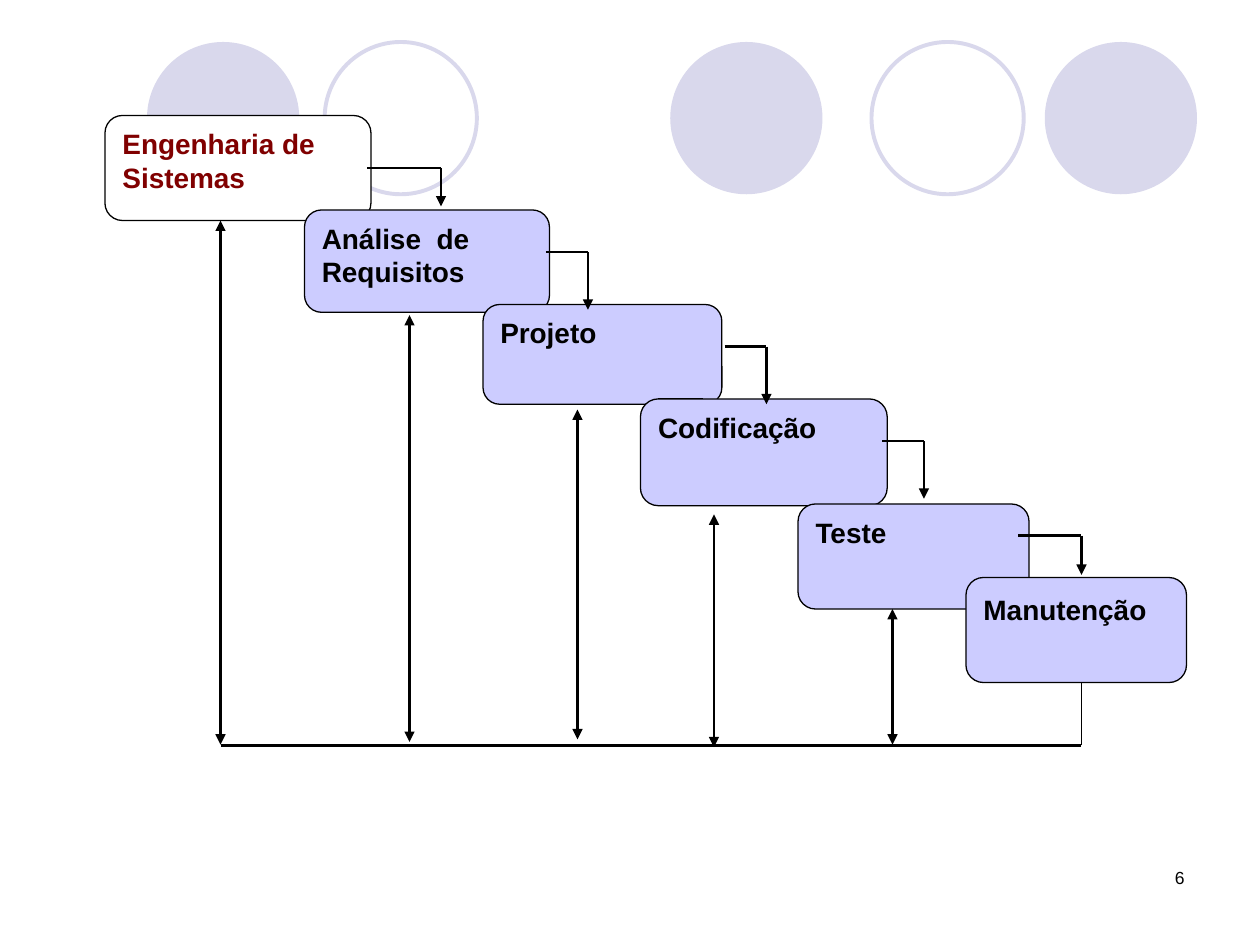
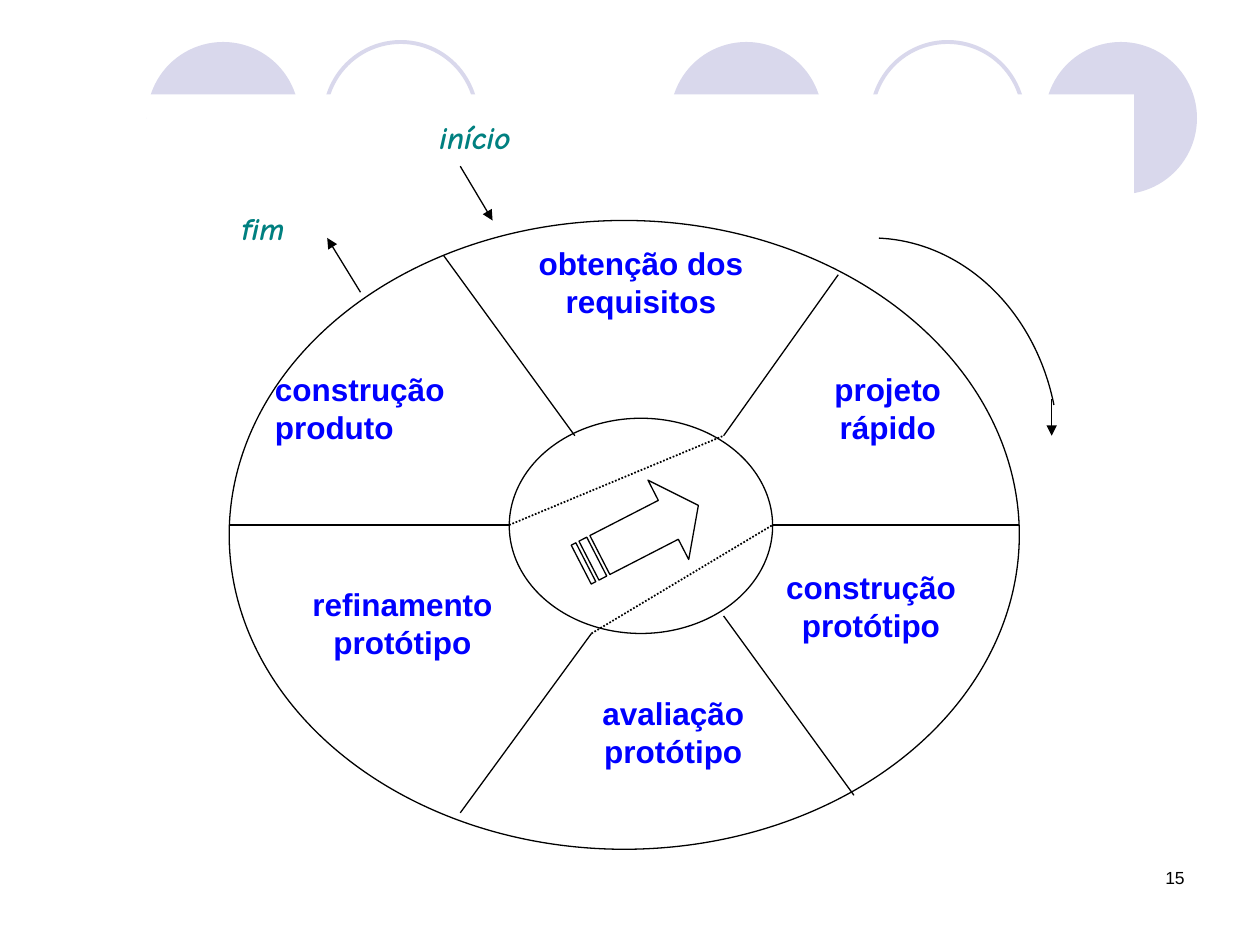
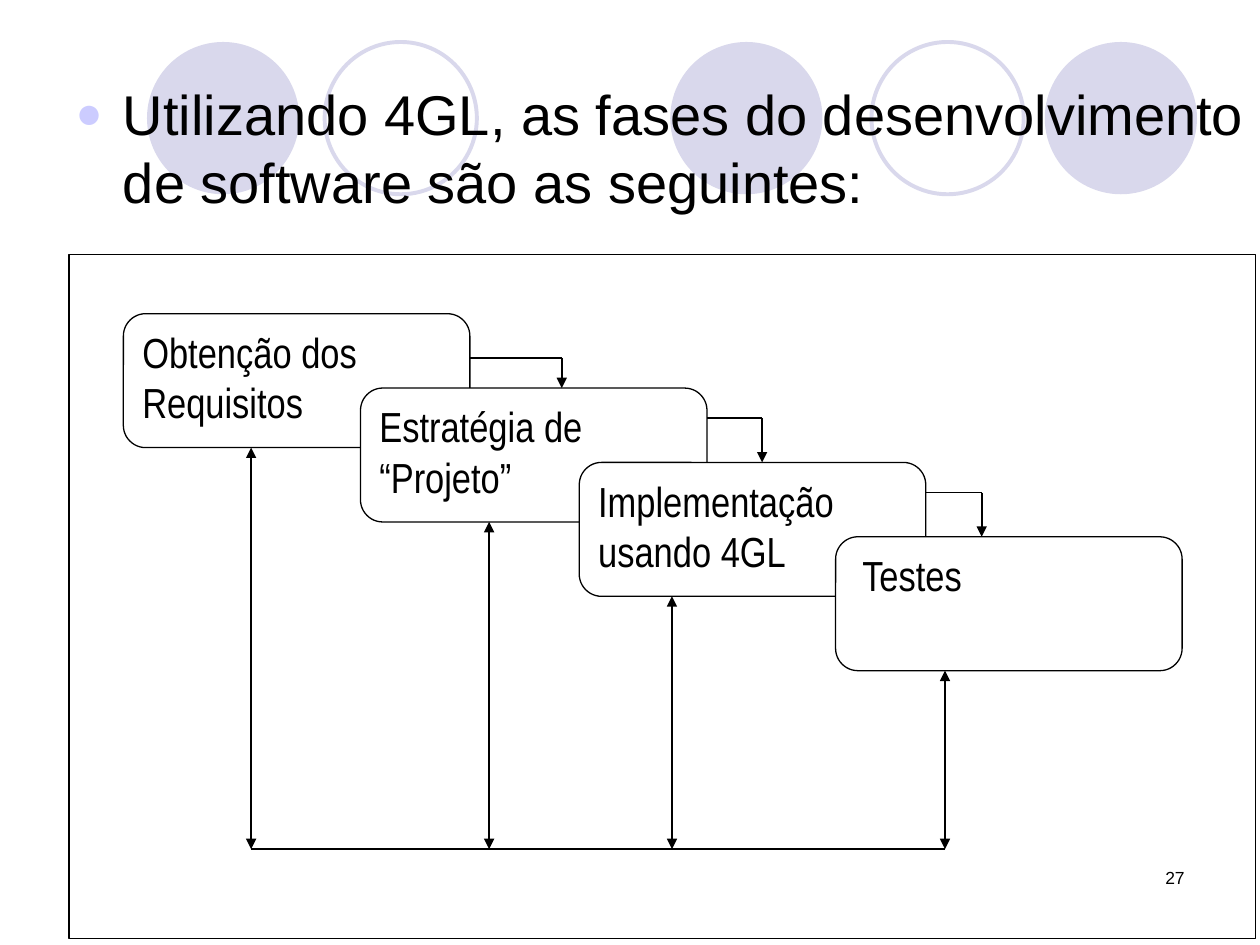
import pptx
import pptx.dml.color
import pptx.enum.dml
import pptx.enum.shapes
import pptx.enum.text
import pptx.oxml
import pptx.oxml.ns
import pptx.util
import lxml.etree

Pt = pptx.util.Pt
Color = pptx.dml.color.RGBColor
Kind = pptx.enum.shapes.MSO_SHAPE
Align = pptx.enum.text.PP_ALIGN
qn = pptx.oxml.ns.qn

WHITE = Color(0xFF, 0xFF, 0xFF)
BLACK = Color(0x00, 0x00, 0x00)
PALE = Color(0xD9, 0xD8, 0xEC)
LILAC = Color(0xCC, 0xCC, 0xFF)
MAROON = Color(0x80, 0x00, 0x00)
TEAL = Color(0x00, 0x80, 0x80)
BLUE = Color(0x00, 0x00, 0xFF)


def box(slide, kind, place, fill=None, line=None, width=0.75, text="",
        face="Arial", size=16, color=BLACK, bold=True, align=Align.LEFT):
    shape = slide.shapes.add_shape(kind, *[Pt(v) for v in place])
    shape.shadow.inherit = False
    if fill is None:
        shape.fill.background()
    else:
        shape.fill.solid()
        shape.fill.fore_color.rgb = fill
    if line is None:
        shape.line.fill.background()
    else:
        shape.line.color.rgb = line
        shape.line.width = Pt(width)
    if text:
        frame = shape.text_frame
        frame.text = text
        frame.word_wrap = True
        frame.vertical_anchor = pptx.enum.text.MSO_ANCHOR.TOP
        para = frame.paragraphs[0]
        para.alignment = align
        font = para.runs[0].font
        font.name, font.size, font.bold = face, Pt(size), bold
        font.color.rgb = color
    return shape


def link(slide, ends, width, heads=(), dash=None):
    line = slide.shapes.add_connector(
        pptx.enum.shapes.MSO_CONNECTOR.STRAIGHT, *[Pt(v) for v in ends])
    line.line.color.rgb = BLACK
    line.line.width = Pt(width)
    if dash:
        line.line.dash_style = dash
    for head in heads:
        lxml.etree.SubElement(line.get_or_add_ln(), qn("a:" + head), type="triangle")
    lxml.etree.SubElement(line.element.spPr, qn("a:effectLst"))


TIP = ("tailEnd",)
BOTH = ("headEnd", "tailEnd")

deck = pptx.Presentation()
deck.slide_width, deck.slide_height = Pt(720), Pt(540)
fall, wheel, quick = [deck.slides.add_slide(deck.slide_layouts[n]) for n in (6, 6, 1)]

rings = [(383, True), (597, True), (84, True), (498, False), (185.5, False)]
for count, (left, full) in enumerate(rings):
    ring = box(fall, Kind.OVAL, (left, 24, 87, 87),
               PALE if full else None, None if full else PALE, 2.25)
    ring.element.nvSpPr.cNvPr.id = 101 + count
    deck.slide_master.shapes.element.append(ring.element)

stages = [
    ("Engenharia de Sistemas", (60, 66, 152, 60)),
    ("Análise  de Requisitos", (174, 120, 140, 58.5)),
    ("Projeto", (276, 174, 136.5, 57)),
    ("Codificação", (366, 228, 141, 61)),
    ("Teste", (456, 288, 132, 60)),
    ("Manutenção", (552, 330, 126, 60)),
]
for text, place in stages:
    first = text == stages[0][0]
    stage = box(fall, Kind.ROUNDED_RECTANGLE, place, WHITE if first else LILAC,
                BLACK, text=text, color=MAROON if first else BLACK)
stage.text_frame.margin_top = Pt(5.6)

steps = [(210, 96, 252, 118), (312, 144, 336, 177), (414, 198, 438, 231),
         (504, 252, 528, 285), (582, 306, 618, 328.5)]
for left, top, right, tip in steps:
    link(fall, (left, top, right, top), 1.5)
    link(fall, (right, top, right, tip), 1.5, TIP)
link(fall, (126, 426, 618, 426), 1.5)
for x, top, low in [(126, 126, 425.5), (234, 180, 424), (330, 234, 422.5),
                    (408, 294, 427), (510, 348, 425.5)]:
    link(fall, (x, top, x, low), 1.5, BOTH)
link(fall, (618, 426, 618, 390), 0.75)

box(wheel, Kind.RECTANGLE, (84, 54, 564, 462), WHITE)
for text, place in [("fim", (131, 116, 104, 51)), ("início", (244, 64, 104, 51))]:
    label = box(wheel, Kind.RECTANGLE, place, WHITE, text=text,
                face="Comic Neue", size=18, color=TEAL)
    label.text_frame.paragraphs[0].runs[0].font.italic = True
parts = [
    ("construção produto", (150, 208, 169, 82), Align.LEFT),
    ("refinamento protótipo", (150, 331, 160, 82), Align.CENTER),
    ("avaliação protótipo", (309.5, 393, 150.5, 82), Align.CENTER),
    ("construção protótipo", (422.5, 321, 150.5, 82), Align.CENTER),
    ("projeto rápido", (441.5, 208, 131.5, 82), Align.CENTER),
    ("obtenção dos requisitos", (291, 136, 150.5, 103), Align.CENTER),
]
for text, place, align in parts:
    box(wheel, Kind.RECTANGLE, place, WHITE, text=text, size=18, color=BLUE, align=align)
box(wheel, Kind.OVAL, (131, 126, 451.5, 359.3), None, BLACK)
box(wheel, Kind.OVAL, (291, 239, 150.5, 123), WHITE, BLACK)
for ends in [(253.5, 146, 328.5, 249), (479, 157, 413.5, 249), (441.5, 300, 582.5, 300),
             (413.5, 352, 488, 454.5), (338, 362, 263, 464.5), (291, 300, 131, 300)]:
    link(wheel, ends, 0.75)

LEFT, TOP = 328.3, 280
bars = [[(a, 12.75), (b, 12.75), (b, 38.25), (a, 38.25)]
        for a, b in [(0, 2.3), (4.7, 9.4)]]
shaft = [(11.7, 12.75), (55.5, 12.75), (55.5, 0), (75, 25.5),
         (55.5, 51), (55.5, 38.25), (11.7, 38.25)]
path = None
for points in [shaft] + bars:
    spots = [(LEFT + x, TOP + y) for x, y in points]
    if path is None:
        path = wheel.shapes.build_freeform(*spots[0], scale=Pt(1))
    else:
        path.move_to(*spots[0])
    path.add_line_segments(spots[1:], close=True)
arrow = path.convert_to_shape()
arrow.shadow.inherit = False
arrow.fill.solid()
arrow.fill.fore_color.rgb = WHITE
arrow.line.color.rgb = BLACK
arrow.line.width = Pt(0.75)
arrow.rotation = 332.8

for ends in [(291, 300, 413.5, 249), (338, 362, 441.5, 300)]:
    link(wheel, ends, 1, dash=pptx.enum.dml.MSO_LINE.ROUND_DOT)
link(wheel, (206, 167, 187, 136), 0.75, TIP)
link(wheel, (263, 95, 281.5, 126), 0.75, TIP)
arc = box(wheel, Kind.ARC, (391, 136, 214, 246), None, BLACK)
arc.adjustments[0] = 163.2
arc.adjustments[1] = 207.12
link(wheel, (601, 228, 601, 249), 0.75, TIP)

quick.shapes.title.element.getparent().remove(quick.shapes.title.element)
body = quick.placeholders[1]
body.left, body.top, body.width, body.height = Pt(36), Pt(42), Pt(684), Pt(126)
frame = body.text_frame
frame.text = "Utilizando 4GL, as fases do desenvolvimento de software são as seguintes:"
frame.auto_size = pptx.enum.text.MSO_AUTO_SIZE.NONE
para = frame.paragraphs[0]
props = para._p.get_or_add_pPr()
props.set("marL", str(Pt(27)))
props.set("indent", str(-Pt(27)))
tint = lxml.etree.SubElement(props, qn("a:buClr"))
lxml.etree.SubElement(tint, qn("a:srgbClr"), val=str(LILAC))
lxml.etree.SubElement(props, qn("a:buSzPct"), val="80000")
lxml.etree.SubElement(props, qn("a:buChar"), char="●")
para.space_before = Pt(0)
font = para.runs[0].font
font.name, font.size = "Arial", Pt(32)
font.color.rgb = BLACK

WIDE, HIGH, BASE = 198, 76.5, 485.25
box(quick, Kind.RECTANGLE, (39.5, 145.5, 678, 391), WHITE, BLACK)
phases = [("Obtenção dos Requisitos", 70.5, 143.5), ("Estratégia de “Projeto”", 206, 279.5),
          ("Implementação usando 4GL", 331, 384), ("Testes", 477.5, 540)]
tops = [179.25 + 42.5 * n for n in range(len(phases))]
for (text, left, x), top in zip(phases, tops):
    phase = box(quick, Kind.ROUNDED_RECTANGLE, (left, top, WIDE, HIGH), WHITE, BLACK,
                text=text, face="Arial Narrow", size=24, bold=False)
phase.text_frame.margin_left = Pt(11.5)
turns = [(204.5, 321), (239, 435.5), (281.5, 561)]
for (text, left, x), (y, right), tip in zip(phases, turns, tops[1:]):
    link(quick, (left + WIDE, y, right, y), 1)
    link(quick, (right, y, right, tip), 1, TIP)
link(quick, (phases[0][2], BASE, phases[-1][2], BASE), 1)
for (text, left, x), top in zip(phases, tops):
    link(quick, (x, top + HIGH, x, BASE), 1, BOTH)

for slide, page in [(fall, "6"), (wheel, "15"), (quick, "27")]:
    note = slide.shapes.add_textbox(Pt(516), Pt(492), Pt(168), Pt(36))
    note.text_frame.text = page
    note.text_frame.word_wrap = True
    para = note.text_frame.paragraphs[0]
    para.alignment = Align.RIGHT
    font = para.runs[0].font
    font.name, font.size = "Arial", Pt(10)
    font.color.rgb = BLACK

deck.save("out.pptx")
